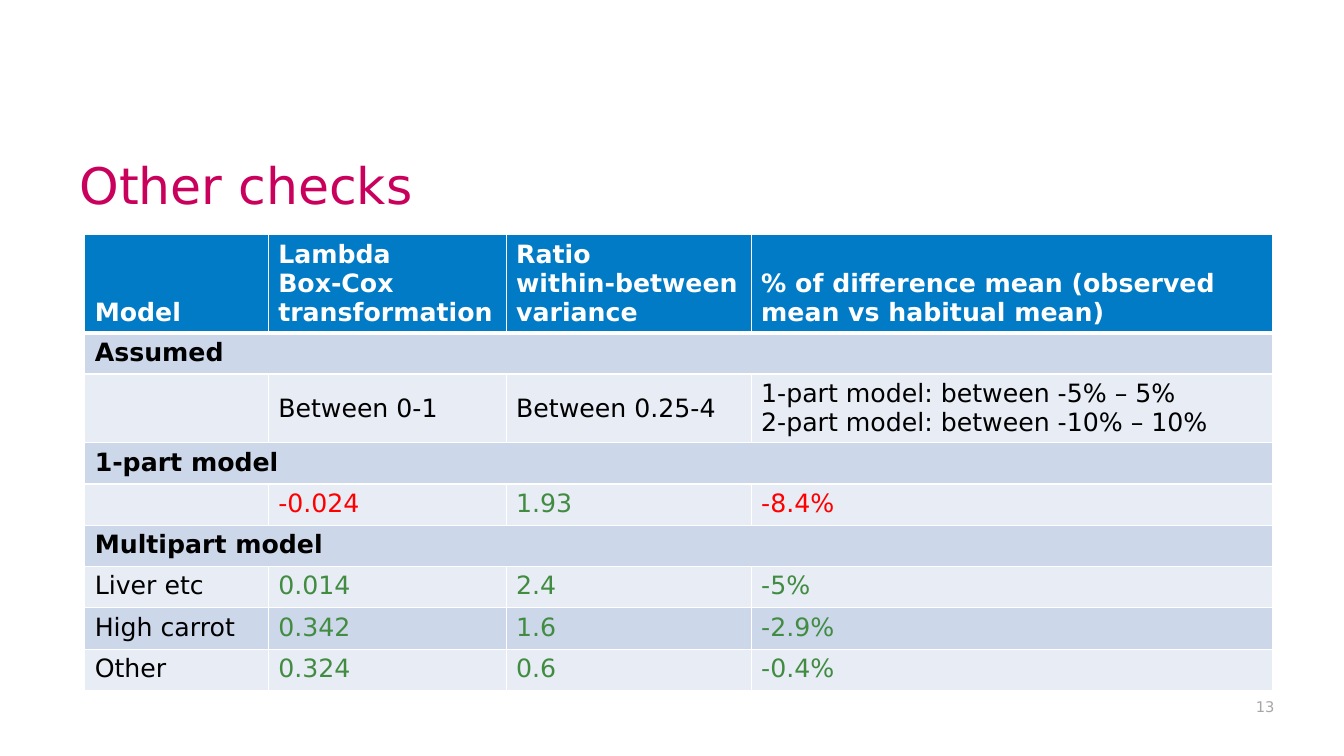
import pptx
import pptx.dml.color
import pptx.enum.text
import pptx.oxml
import pptx.oxml.ns
import pptx.util
from pptx.dml.color import RGBColor
from pptx.enum.text import MSO_ANCHOR, PP_ALIGN
from pptx.util import Inches, Pt

FONT = "DejaVu Sans"
WHITE = RGBColor(0xFF, 0xFF, 0xFF)
BLACK = RGBColor(0x00, 0x00, 0x00)
MAGENTA = RGBColor(0xCA, 0x00, 0x5D)
HEADER_BLUE = RGBColor(0x01, 0x7B, 0xC6)
BAND_DARK = RGBColor(0xCC, 0xD7, 0xEA)
BAND_LIGHT = RGBColor(0xE7, 0xEC, 0xF5)
FAIL_RED = RGBColor(0xFF, 0x00, 0x00)
PASS_GREEN = RGBColor(0x42, 0x8C, 0x42)
GRAY = RGBColor(0xA6, 0xA6, 0xA6)

COLUMN_WIDTHS = [1.82, 2.36, 2.43, 5.17]
ROW_HEIGHTS = [0.97, 0.41, 0.68] + [0.41] * 6
HEADER_ROW = 0
ASSUMED_ROW = 2
FAILED_CELLS = {(4, 1), (4, 3)}
ROWS = [
    ["Model", "Lambda\nBox-Cox transformation", "Ratio\nwithin-between variance",
     "% of difference mean (observed mean vs habitual mean)"],
    ["Assumed"],
    ["", "Between 0-1", "Between 0.25-4",
     "1-part model: between -5% – 5%\n2-part model: between -10% – 10%"],
    ["1-part model"],
    ["", "-0.024", "1.93", "-8.4%"],
    ["Multipart model"],
    ["Liver etc", "0.014", "2.4", "-5%"],
    ["High carrot", "0.342", "1.6", "-2.9%"],
    ["Other", "0.324", "0.6", "-0.4%"],
]


def format_text(text_frame, size, color, bold=False):
    for paragraph in text_frame.paragraphs:
        for run in paragraph.runs:
            run.font.name = FONT
            run.font.size = Pt(size)
            run.font.bold = bold
            run.font.color.rgb = color


def add_text(slide, box, text, size, color):
    shape = slide.shapes.add_textbox(*map(Inches, box))
    text_frame = shape.text_frame
    text_frame.word_wrap = True
    text_frame.vertical_anchor = MSO_ANCHOR.BOTTOM
    text_frame.text = text
    format_text(text_frame, size, color)
    return text_frame


def add_title(slide, box):
    text_frame = add_text(slide, box, "Other checks", 36, MAGENTA)
    text_frame.paragraphs[0].line_spacing = 0.9


def add_page_number(slide, box):
    text_frame = add_text(slide, box, "13", 10.5, GRAY)
    text_frame.margin_right = 0
    text_frame.paragraphs[0].alignment = PP_ALIGN.RIGHT


def set_borders(cell, row):
    properties = cell._tc.get_or_add_tcPr()
    widths = {
        "lnL": 1,
        "lnR": 1,
        "lnT": 3 if row == HEADER_ROW + 1 else 1,
        "lnB": 3 if row == HEADER_ROW else 1,
    }
    for side, width in widths.items():
        properties.append(pptx.oxml.parse_xml(
            f'<a:{side} {pptx.oxml.ns.nsdecls("a")} w="{Pt(width)}">'
            f'<a:solidFill><a:srgbClr val="{WHITE}"/></a:solidFill></a:{side}>'
        ))


def text_color(row, column):
    if row == HEADER_ROW:
        return WHITE
    if column == 0 or row == ASSUMED_ROW:
        return BLACK
    return FAIL_RED if (row, column) in FAILED_CELLS else PASS_GREEN


def row_fill(row):
    if row == HEADER_ROW:
        return HEADER_BLUE
    return BAND_DARK if row % 2 else BAND_LIGHT


def add_checks_table(slide, box):
    table = slide.shapes.add_table(
        len(ROWS), len(COLUMN_WIDTHS), *map(Inches, box)
    ).table
    for column, width in zip(table.columns, COLUMN_WIDTHS):
        column.width = Inches(width)
    for row, (texts, height) in enumerate(zip(ROWS, ROW_HEIGHTS)):
        table.rows[row].height = Inches(height)
        is_section = len(texts) == 1
        for column in range(len(COLUMN_WIDTHS)):
            cell = table.cell(row, column)
            set_borders(cell, row)
            cell.fill.solid()
            cell.fill.fore_color.rgb = row_fill(row)
            if row == HEADER_ROW:
                cell.vertical_anchor = MSO_ANCHOR.BOTTOM
            elif row == ASSUMED_ROW and column in (1, 2):
                cell.vertical_anchor = MSO_ANCHOR.MIDDLE
        for column, text in enumerate(texts):
            if text:
                text_frame = table.cell(row, column).text_frame
                text_frame.text = text
                format_text(text_frame, 18, text_color(row, column),
                            bold=is_section or row == HEADER_ROW)
        if is_section:
            table.cell(row, 0).merge(table.cell(row, len(COLUMN_WIDTHS) - 1))


def main():
    presentation = pptx.Presentation()
    presentation.slide_width = Inches(13.33)
    presentation.slide_height = Inches(7.5)
    slide = presentation.slides.add_slide(presentation.slide_layouts[6])
    add_checks_table(slide, (0.84, 2.33, sum(COLUMN_WIDTHS), sum(ROW_HEIGHTS)))
    add_title(slide, (0.69, 1.15, 11.95, 1.04))
    add_page_number(slide, (7.17, 6.8, 5.47, 0.35))
    presentation.save("out.pptx")


if __name__ == "__main__":
    main()
